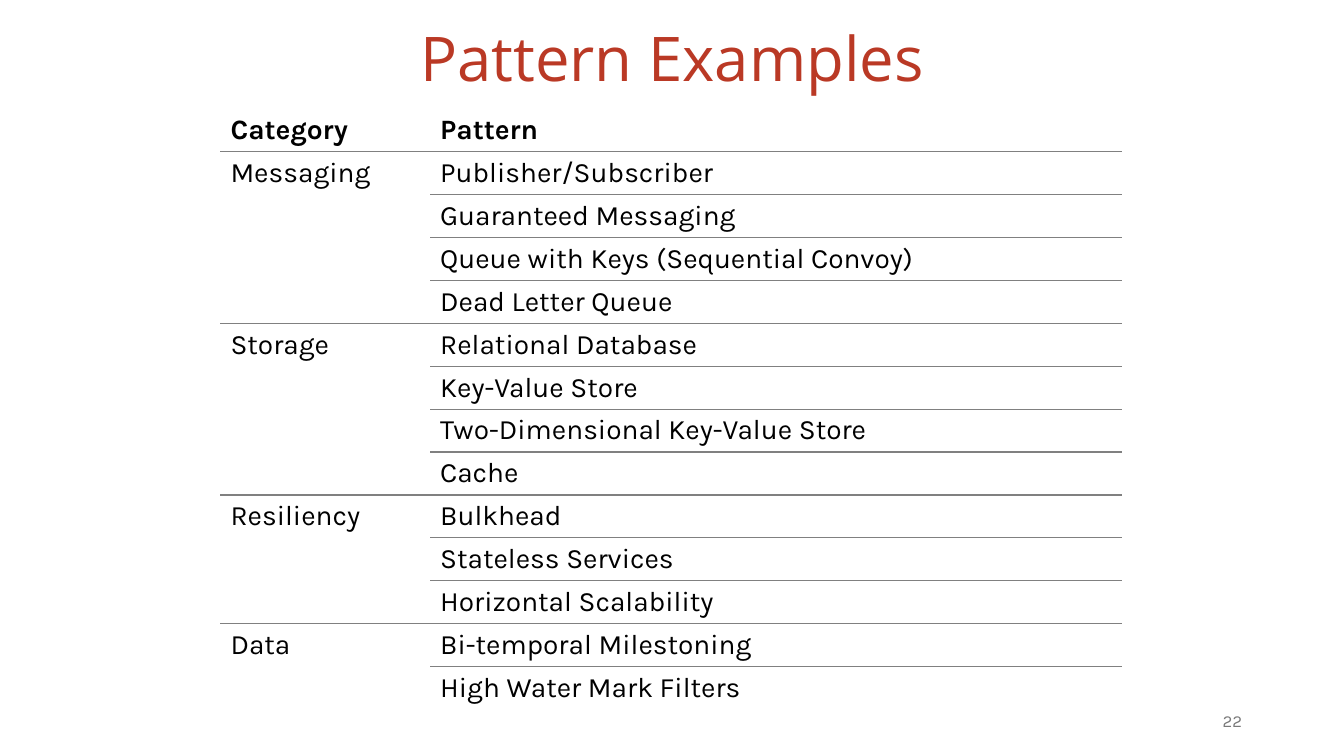
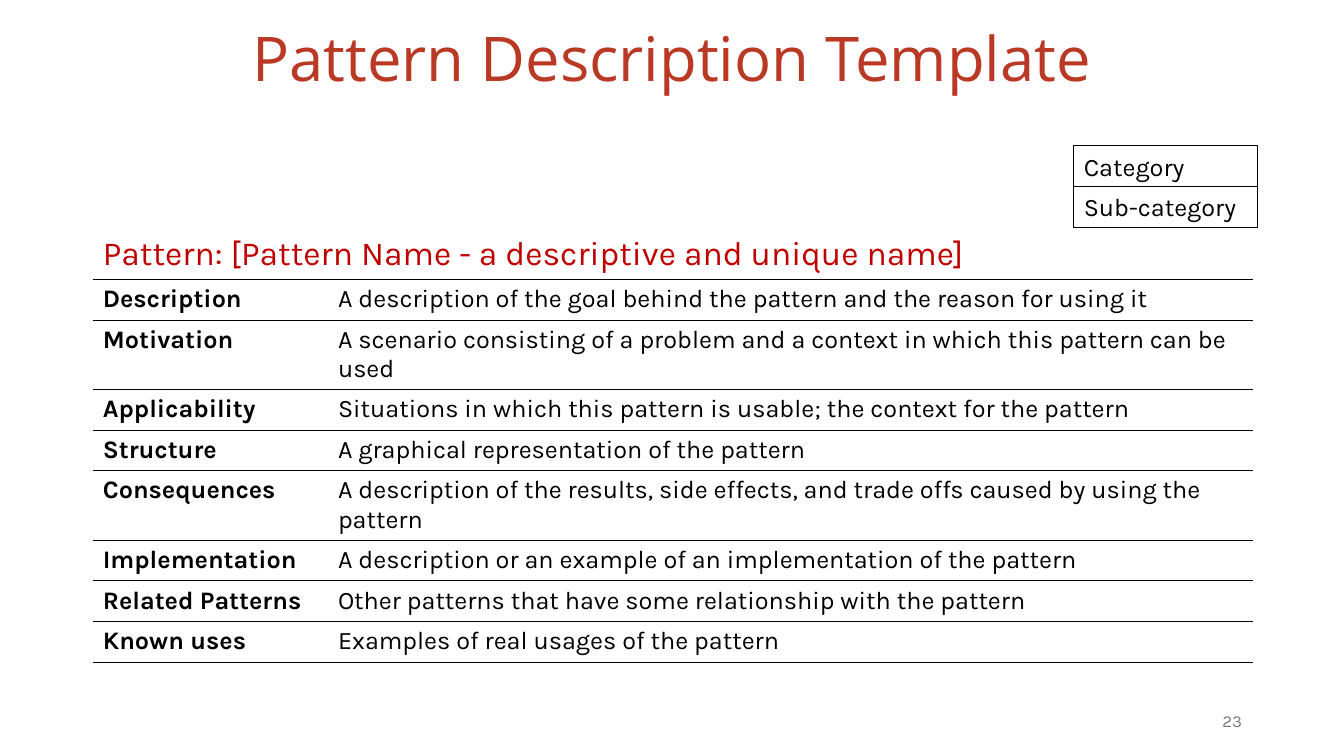
"""Build two slides: a table of pattern examples and a pattern description template."""
from lxml import etree
from pptx import Presentation
from pptx import util as u
from pptx.dml.color import RGBColor
from pptx.enum import shapes, text
from pptx.oxml.ns import qn

BODY_FONT, TITLE_FONT = "Karla", "Open Sans"
BLACK, GREY, TITLE_RED, PATTERN_RED, NUMBER_GREY = "000000", "808080", "BA3925", "C00000", "797979"
PLAIN_TABLE_STYLE = "{2D5ABB26-0587-4C30-8999-92F81FD0307C}"

presentation = Presentation()
presentation.slide_width, presentation.slide_height = u.Inches(13.33), u.Inches(7.5)
column = presentation.slide_width / 100
row = presentation.slide_height / 100


def place(left, top, width, height):
    """Turn grid columns and rows into slide lengths."""
    return [int(left * column), int(top * row), int(width * column), int(height * row)]


def style(paragraph, size, colour, name=BODY_FONT, bold=False):
    """Set the font of a whole paragraph."""
    font = paragraph.font
    font.name, font.size, font.bold = name, u.Pt(size), bold
    font.color.rgb = RGBColor.from_string(colour)


groups = {
    "Messaging": ["Publisher/Subscriber", "Guaranteed Messaging",
                  "Queue with Keys (Sequential Convoy)", "Dead Letter Queue"],
    "Storage": ["Relational Database", "Key-Value Store",
                "Two-Dimensional Key-Value Store", "Cache"],
    "Resiliency": ["Bulkhead", "Stateless Services", "Horizontal Scalability"],
    "Data": ["Bi-temporal Milestoning", "High Water Mark Filters"],
}
examples = [("Category", "Pattern")]
for category, patterns in groups.items():
    examples += [("" if i else category, pattern) for i, pattern in enumerate(patterns)]

template = [
    ("Pattern: [Pattern Name - a descriptive and unique name]", ""),
    ("Description", "A description of the goal behind the pattern and the reason for using it"),
    ("Motivation", "A scenario consisting of a problem and a context in which this pattern can be used"),
    ("Applicability", "Situations in which this pattern is usable; the context for the pattern"),
    ("Structure", "A graphical representation of the pattern"),
    ("Consequences", "A description of the results, side effects, and trade offs caused by using the pattern"),
    ("Implementation", "A description or an example of an implementation of the pattern"),
    ("Related Patterns", "Other patterns that have some relationship with the pattern"),
    ("Known uses", "Examples of real usages of the pattern"),
]

pages = [
    dict(title="Pattern Examples", number=22, rows=examples, left=16.4, top=14.4,
         widths=(15.6, 51.45), row_height=5.6, size=20, rule=(GREY, 1), closed=False),
    dict(title="Pattern Description Template", number=23, rows=template, left=6.9, top=30.4,
         widths=(17.5, 68.8), row_height=5.4, size=18, rule=(BLACK, 0.5), closed=True),
]

for page in pages:
    slide = presentation.slides.add_slide(presentation.slide_layouts[5])
    title = slide.shapes.title
    title.left, title.top, title.width, title.height = place(6.9, 2.5, 86.25, 11.3)
    frame = title.text_frame
    frame.text = page["title"]
    frame.auto_size = text.MSO_AUTO_SIZE.NONE
    frame.vertical_anchor = text.MSO_ANCHOR.MIDDLE
    paragraph = frame.paragraphs[0]
    paragraph.alignment, paragraph.line_spacing = text.PP_ALIGN.CENTER, 0.9
    style(paragraph, 44, TITLE_RED, TITLE_FONT)

    rows, widths = page["rows"], page["widths"]
    box = place(page["left"], page["top"], sum(widths), page["row_height"] * len(rows))
    table = slide.shapes.add_table(len(rows), len(widths), *box).table
    table.first_row = table.horz_banding = False
    table._tbl.tblPr.find(qn("a:tableStyleId")).text = PLAIN_TABLE_STYLE
    for table_column, width in zip(table.columns, widths):
        table_column.width = int(width * column)

    rule_colour, rule_width = page["rule"]
    for r, labels in enumerate(rows):
        for c, label in enumerate(labels):
            cell = table.cell(r, c)
            ruled_top = r > 0 and (c > 0 or label)
            ruled_bottom = c > 0 or rows[r + 1][c] if r + 1 < len(rows) else page["closed"]
            for tag, ruled in (("a:lnL", False), ("a:lnR", False),
                               ("a:lnT", ruled_top), ("a:lnB", ruled_bottom)):
                line = etree.SubElement(cell._tc.get_or_add_tcPr(), qn(tag),
                                        w=str(u.Pt(rule_width)))
                fill = etree.SubElement(line, qn("a:solidFill" if ruled else "a:noFill"))
                if ruled:
                    etree.SubElement(fill, qn("a:srgbClr"), val=rule_colour)
            cell.fill.background()
            cell.text = label
            bold = c == 0 if page["closed"] else r == 0
            style(cell.text_frame.paragraphs[0], page["size"], BLACK, bold=bold)

    if page["closed"]:
        heading = table.cell(0, 0)
        heading.merge(table.cell(0, 1))
        style(heading.text_frame.paragraphs[0], 24, PATTERN_RED)
        for i, label in enumerate(("Category", "Sub-category")):
            tag_box = slide.shapes.add_shape(shapes.MSO_SHAPE.RECTANGLE,
                                             *place(79.9, 19.3 + 5.4 * i, 13.7, 5.4))
            tag_box.shadow.inherit = False
            tag_box.fill.background()
            tag_box.line.color.rgb = RGBColor.from_string(BLACK)
            tag_box.line.width = u.Pt(0.75)
            frame = tag_box.text_frame
            frame.text = label
            frame.vertical_anchor = text.MSO_ANCHOR.TOP
            frame.paragraphs[0].alignment = text.PP_ALIGN.LEFT
            style(frame.paragraphs[0], 18, BLACK)

    frame = slide.shapes.add_textbox(*place(70.65, 92.7, 22.5, 5.3)).text_frame
    frame.text = str(page["number"])
    frame.word_wrap = True
    frame.vertical_anchor = text.MSO_ANCHOR.MIDDLE
    frame.paragraphs[0].alignment = text.PP_ALIGN.RIGHT
    style(frame.paragraphs[0], 12, NUMBER_GREY)

presentation.save("out.pptx")
